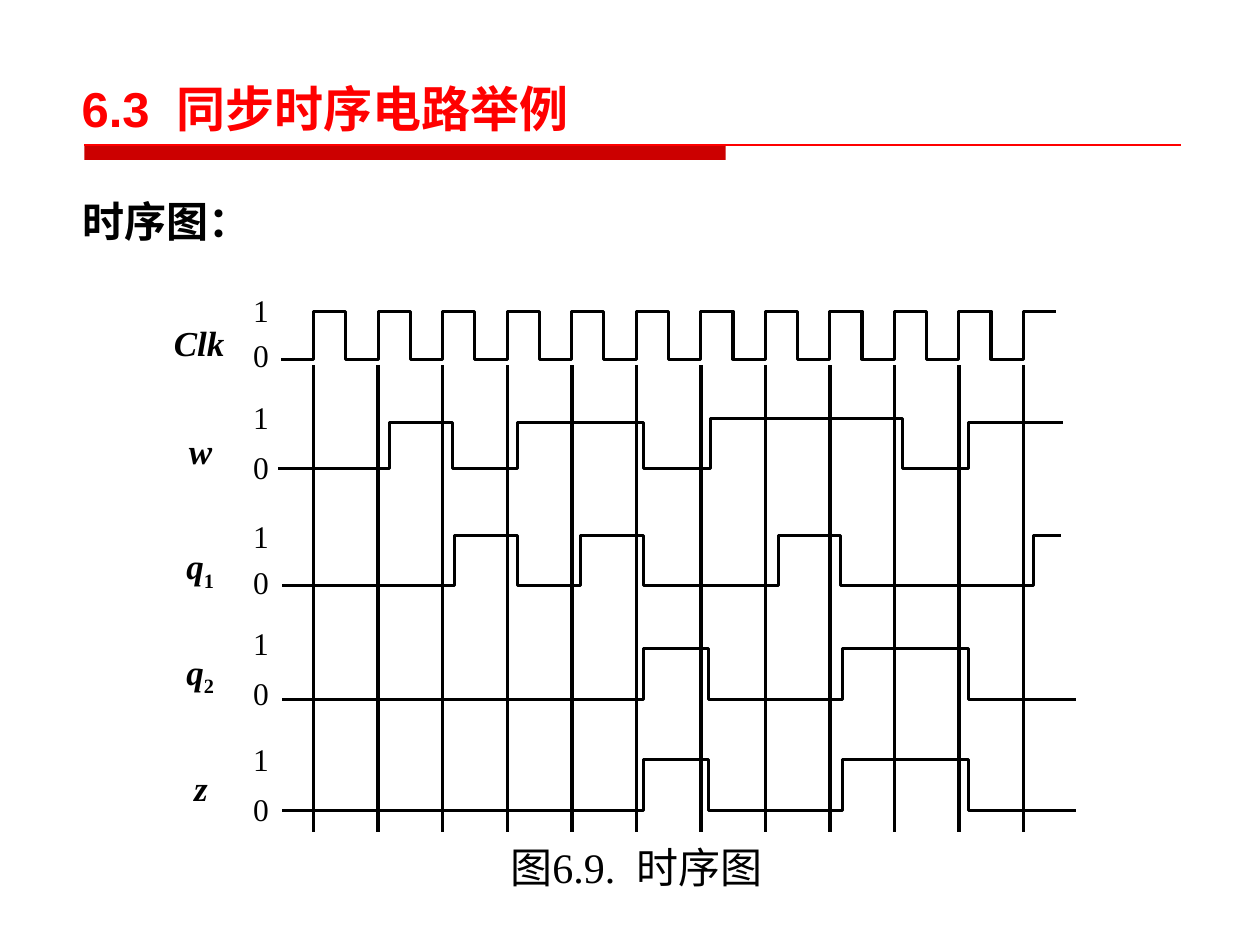
from dataclasses import dataclass
from itertools import cycle

from lxml.etree import SubElement
from pptx import Presentation
from pptx.dml.color import RGBColor
from pptx.enum.shapes import MSO_CONNECTOR, MSO_SHAPE
from pptx.enum.text import MSO_AUTO_SIZE, PP_ALIGN
from pptx.oxml.ns import qn
from pptx.util import Inches, Pt

BLACK, RED, DARK_RED = "000000", "FF0000", "CC0000"
SERIF, SANS, CHINESE = "Times New Roman", "Arial", "Noto Sans CJK SC"
COLUMNS, ROWS = 100, 75


def paint(color_format, value):
    color_format.rgb = RGBColor.from_string(value)


@dataclass
class TimingSlide:
    """Draws timing diagram parts on a 100 by 75 grid."""

    deck: object
    page: object
    wave_width: float = 1.75

    def x(self, columns):
        return round(self.deck.slide_width * columns / COLUMNS)

    def y(self, rows):
        return round(self.deck.slide_height * rows / ROWS)

    def text(self, place, runs, size, font=SERIF, color=BLACK, bold=False,
             align=PP_ALIGN.LEFT, spacing=None, tight=False):
        left, top, width, height = place
        box = self.page.shapes.add_textbox(
            self.x(left), self.y(top), self.x(width), self.y(height))
        frame = box.text_frame
        frame.word_wrap = not tight
        if tight:
            frame.margin_left = frame.margin_right = 0
            frame.margin_top = frame.margin_bottom = 0
            frame.auto_size = MSO_AUTO_SIZE.SHAPE_TO_FIT_TEXT
        para = frame.paragraphs[0]
        para.alignment = align
        if spacing:
            para.line_spacing = spacing
        for words, options in runs:
            span = para.add_run()
            span.text = words
            span.font.name = font
            span.font.size = Pt(size)
            span.font.bold = bold
            span.font.italic = options.get("italic", False)
            paint(span.font.color, color)
            properties = span.font._element
            SubElement(properties, qn("a:ea"), typeface=CHINESE)
            for name in ("baseline", "spc"):
                if name in options:
                    properties.set(name, str(options[name]))

    def line(self, start, end, color, width):
        line = self.page.shapes.add_connector(
            MSO_CONNECTOR.STRAIGHT, self.x(start[0]), self.y(start[1]),
            self.x(end[0]), self.y(end[1]))
        paint(line.line.color, color)
        line.line.width = Pt(width)
        SubElement(line._element.spPr, qn("a:effectLst"))

    def band(self, left, top, width, height, color):
        band = self.page.shapes.add_shape(
            MSO_SHAPE.RECTANGLE, self.x(left), self.y(top),
            self.x(width), self.y(height))
        band.shadow.inherit = False
        band.fill.solid()
        paint(band.fill.fore_color, color)
        band.line.fill.background()

    def wave(self, edges, levels):
        points = [(self.x(edge), self.y(level))
                  for start, end, level in zip(edges, edges[1:], cycle(levels))
                  for edge in (start, end)]
        builder = self.page.shapes.build_freeform(*points[0])
        builder.add_line_segments(points[1:], close=False)
        wave = builder.convert_to_shape()
        wave.shadow.inherit = False
        wave.fill.background()
        paint(wave.line.color, BLACK)
        wave.line.width = Pt(self.wave_width)

    def signal(self, name, left, top, width, digits):
        letters, index = name
        runs = [(letters, {"italic": True})]
        if index:
            runs.append((index, {"baseline": -25000}))
        self.text((left, top, width, 3.4), runs, 20, bold=True, tight=True)
        for digit, row in zip("10", digits):
            self.text((20.1, row, 1.9, 3), [(digit, {})], 18, tight=True)


def main():
    deck = Presentation()
    deck.slide_width, deck.slide_height = Inches(10), Inches(7.5)
    page = deck.slides.add_slide(deck.slide_layouts[6])
    slide = TimingSlide(deck, page)

    slide.band(6.7, 11.5, 50.9, 1.2, DARK_RED)
    slide.line((6.7, 11.5), (93.7, 11.5), RED, 0.75)
    slide.text((5.5, 5.7, 73.8, 7.9),
               [("6.3", {}), (" ", {"spc": 780}), ("同步时序电路举例", {})],
               28, SANS, RED, bold=True)
    slide.text((5.6, 13.8, 91.1, 5.5), [("时序图：", {})], 24, CHINESE,
               bold=True, spacing=1.3)

    period, first_rise = 5.12, 24.9
    for cycle_number in range(12):
        column = first_rise + period * cycle_number
        slide.line((column, 66), (column, 29), BLACK, 0)

    half = period / 2
    clock_edges = [first_rise + half * step for step in range(-1, 24)]
    pulse_edges = [22.4, 51.1, 56.2, 66.9, 76.9, 85.4]
    waves = [
        (clock_edges, (28.5, 24.7)),
        ([22.1, 30.9, 35.9, 41.1, 51.1, 56.4, 71.6, 76.9, 84.4],
         (37.2, 33.5, 37.2, 33.5, 37.2, 33.2, 37.2, 33.5)),
        ([22.4, 36.1, 41.1, 46.1, 51.1, 61.8, 66.7, 82, 84.2], (46.5, 42.5)),
        (pulse_edges, (55.5, 51.5)),
        (pulse_edges, (64.3, 60.3)),
    ]
    for edges, levels in waves:
        slide.wave(edges, levels)

    signals = [
        (("Clk", ""), 13.8, 25.5, 4.8, (23.1, 26.7)),
        (("w", ""), 15, 34.1, 2.6, (31.6, 35.6)),
        (("q", "1"), 14.8, 43.2, 3, (41, 44.7)),
        (("q", "2"), 14.8, 51.6, 3, (49.5, 53.5)),
        (("z", ""), 15.4, 60.8, 1.8, (58.7, 62.7)),
    ]
    for signal in signals:
        slide.signal(*signal)

    slide.text((30.4, 66.3, 40.2, 5.1),
               [("图6.9.", {}), (" ", {"spc": 600}), ("时序图", {})],
               24, align=PP_ALIGN.CENTER)
    deck.save("out.pptx")


if __name__ == "__main__":
    main()
